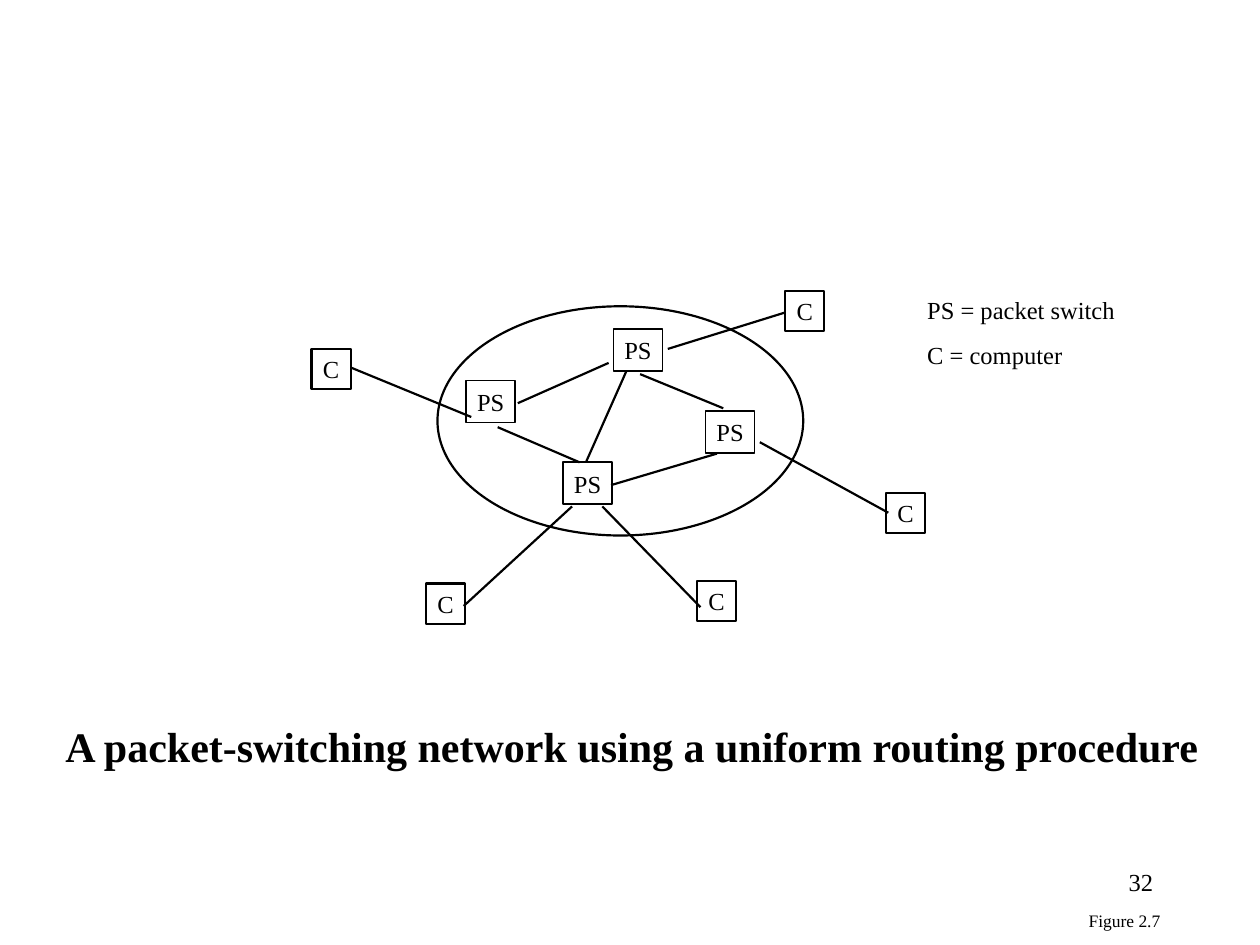
from lxml import etree
from pptx import Presentation
from pptx.dml.color import RGBColor
from pptx.enum.shapes import MSO_CONNECTOR, MSO_SHAPE
from pptx.enum.text import MSO_ANCHOR, MSO_AUTO_SIZE, PP_ALIGN
from pptx.oxml.ns import qn
from pptx.util import Pt

STRAIGHT = MSO_CONNECTOR.STRAIGHT
OVAL, RECTANGLE = MSO_SHAPE.OVAL, MSO_SHAPE.RECTANGLE
TOP, MIDDLE = MSO_ANCHOR.TOP, MSO_ANCHOR.MIDDLE
LEFT, CENTER, RIGHT = PP_ALIGN.LEFT, PP_ALIGN.CENTER, PP_ALIGN.RIGHT
FIT_SHAPE = MSO_AUTO_SIZE.SHAPE_TO_FIT_TEXT

COLORS = {"ink": "000000", "paper": "FFFFFF"}
FONT = "Times New Roman"

COMPUTER_SIZE = (22.5, 23)
SWITCH_SIZE = (28, 24)
COMPUTERS = [(270.6, 0.3), (220.2, 165.9), (328.2, 115.5), (0, 33.4), (65.4, 167.4)]
SWITCHES = [(172.6, 21.9), (143.8, 98.2), (225.2, 68.7), (88.4, 51.4)]
LINKS = [
    (22.9, 44.2, 91.3, 72.3),
    (117.9, 64.4, 169.8, 41.4),
    (203.6, 33.4, 270.6, 12.6),
    (106.4, 78.1, 153.2, 98.2),
    (156.8, 98.2, 179.8, 46.4),
    (187.8, 47.8, 235.3, 67.3),
    (171.2, 111.2, 231.7, 93.2),
    (148.9, 123.4, 87, 180.3),
    (166.2, 123.4, 222.3, 181),
    (256.2, 86.7, 329.6, 127),
]


def color(name):
    return RGBColor.from_string(COLORS[name])


def apply(target, values):
    for name, value in values.items():
        setattr(target, name, value)


def write(shape, lines, size, align=LEFT, bold=False, before=0, **frame_format):
    frame = shape.text_frame
    frame.text = "\n".join(lines)
    apply(frame, frame_format)
    for paragraph in frame.paragraphs:
        apply(paragraph, {"alignment": align, "space_before": Pt(before)})
        font = paragraph.runs[0].font
        apply(font, {"name": FONT, "size": Pt(size), "bold": bold})
        font.color.rgb = color("ink")


def add_outline(slide, kind, box, width):
    shape = slide.shapes.add_shape(kind, *map(Pt, box))
    shape.shadow.inherit = False
    shape.fill.background()
    shape.line.color.rgb = color("ink")
    shape.line.width = Pt(width)
    return shape


def add_node(slide, box, label, width):
    shape = add_outline(slide, RECTANGLE, box, width)
    margins = dict.fromkeys(("margin_left", "margin_top", "margin_right", "margin_bottom"), 0)
    write(shape, [label], 14, CENTER, vertical_anchor=MIDDLE, word_wrap=False, **margins)


def add_link(slide, points):
    connector = slide.shapes.add_connector(STRAIGHT, *map(Pt, points))
    connector.line.color.rgb = color("ink")
    connector.line.width = Pt(1.25)
    etree.SubElement(connector._element.spPr, qn("a:effectLst"))


def add_network(slide, left, top):
    add_outline(slide, OVAL, (left + 72, top + 9, 209, 131), 1.25)
    for label, places, size, width in (
        ("C", COMPUTERS, COMPUTER_SIZE, 1.25),
        ("PS", SWITCHES, SWITCH_SIZE, 1),
    ):
        for x, y in places:
            add_node(slide, (left + x, top + y, *size), label, width)
    for x1, y1, x2, y2 in LINKS:
        add_link(slide, (left + x1, top + y1, left + x2, top + y2))


def add_title(slide, left, top, width, height):
    title = slide.shapes.title
    apply(title, {"left": Pt(left), "top": Pt(top), "width": Pt(width), "height": Pt(height)})
    write(title, ["A packet-switching network using a uniform routing procedure"], 24,
          bold=True, vertical_anchor=TOP, word_wrap=False, auto_size=FIT_SHAPE)


def add_text(slide, box, lines, size, **text_format):
    write(slide.shapes.add_textbox(*map(Pt, box)), lines, size, **text_format)


def build_slide(presentation):
    slide = presentation.slides.add_slide(presentation.slide_layouts[5])
    slide.background.fill.solid()
    slide.background.fill.fore_color.rgb = color("paper")
    add_network(slide, 178, 166)
    add_text(slide, (522.7, 165, 121.7, 49.7), ["PS = packet switch", "C = computer"], 14,
             before=8.8, vertical_anchor=MIDDLE, word_wrap=False, auto_size=FIT_SHAPE)
    add_title(slide, 30.2, 408.2, 664.6, 36)
    add_text(slide, (516.2, 491.8, 149.8, 36), ["32"], 14, align=RIGHT, word_wrap=True)
    add_text(slide, (614.9, 516.2, 55.4, 19.4), ["Figure 2.7"], 10, align=CENTER,
             before=6.2, vertical_anchor=MIDDLE, word_wrap=False, auto_size=FIT_SHAPE)


presentation = Presentation()
apply(presentation, {"slide_width": Pt(720), "slide_height": Pt(540)})
build_slide(presentation)
presentation.save("out.pptx")
